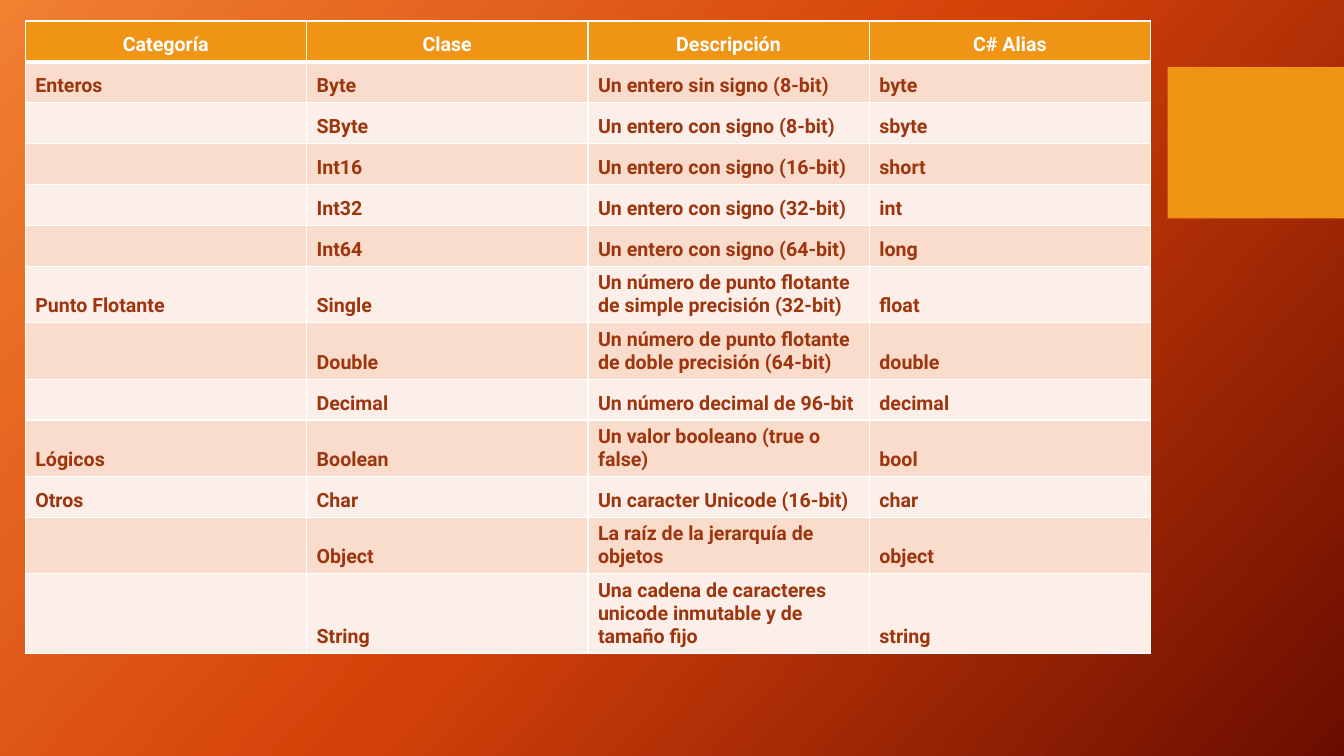
import copy
import lxml.etree
import pptx
import pptx.util
import pptx.dml.color
import pptx.enum.shapes
import pptx.enum.text
import pptx.oxml.ns

RGB = pptx.dml.color.RGBColor
WHITE = RGB(0xFF, 0xFF, 0xFF)
GOLD = RGB(0xF0, 0x94, 0x15)
RUST = RGB(0x9D, 0x36, 0x0E)
PEACH = RGB(0xF9, 0xDC, 0xCC)
CREAM = RGB(0xFC, 0xEE, 0xE8)
GLOW = [(0, RGB(0xF1, 0x80, 0x31)), (0.5, RGB(0xD5, 0x42, 0x09)),
        (1, RGB(0x6A, 0x0D, 0x00))]
UNIT = pptx.util.Inches(1) / 12
COLS, ROWS = 160, 90
TYPES = [
    ("Categoría", "Clase", "Descripción", "C# Alias"),
    ("Enteros", "Byte", "Un entero sin signo (8-bit)", "byte"),
    ("", "SByte", "Un entero con signo (8-bit)", "sbyte"),
    ("", "Int16", "Un entero con signo (16-bit)", "short"),
    ("", "Int32", "Un entero con signo (32-bit)", "int"),
    ("", "Int64", "Un entero con signo (64-bit)", "long"),
    ("Punto Flotante", "Single",
     "Un número de punto flotante de simple precisión (32-bit)", "float"),
    ("", "Double",
     "Un número de punto flotante de doble precisión (64-bit)", "double"),
    ("", "Decimal", "Un número decimal de 96-bit", "decimal"),
    ("Lógicos", "Boolean", "Un valor booleano (true o false)", "bool"),
    ("Otros", "Char", "Un caracter Unicode (16-bit)", "char"),
    ("", "Object", "La raíz de la jerarquía de objetos", "object"),
    ("", "String",
     "Una cadena de caracteres unicode inmutable y de tamaño fijo", "string"),
]
FONT = {"name": "Roboto", "size": pptx.util.Pt(14), "bold": True}


def grid(*cells):
    return [round(cell * UNIT) for cell in cells]


def style(item, looks):
    for name, value in looks.items():
        setattr(item, name, value)


def edge(cell, side, width):
    qn = pptx.oxml.ns.qn
    line = lxml.etree.SubElement(
        cell._tc.get_or_add_tcPr(), qn("a:ln" + side),
        w=str(pptx.util.Pt(width)))
    fill = lxml.etree.SubElement(line, qn("a:solidFill"))
    lxml.etree.SubElement(fill, qn("a:srgbClr"), val=str(WHITE))


def paint(slide):
    fill = slide.background.fill
    fill.gradient()
    fill.gradient_angle = 360 - 42
    stops = slide.element.find(".//" + pptx.oxml.ns.qn("a:gsLst"))
    stops.append(copy.deepcopy(stops[0]))
    for stop, (place, tone) in zip(fill.gradient_stops, GLOW):
        stop.position = place
        stop.color.rgb = tone


def block(slide, box):
    shape = slide.shapes.add_shape(
        pptx.enum.shapes.MSO_SHAPE.RECTANGLE, *grid(*box))
    shape.shadow.inherit = False
    shape.fill.solid()
    shape.fill.fore_color.rgb = GOLD
    shape.line.fill.background()


def fill_cell(cell, text, row):
    head = row == 0
    for side, width in {"L": 1, "R": 1, "T": 3 if row == 1 else 1,
                        "B": 3 if head else 1}.items():
        edge(cell, side, width)
    cell.fill.solid()
    cell.fill.fore_color.rgb = GOLD if head else (CREAM, PEACH)[row % 2]
    cell.vertical_anchor = pptx.enum.text.MSO_ANCHOR.BOTTOM
    if text:
        para = cell.text_frame.paragraphs[0]
        if head:
            para.alignment = pptx.enum.text.PP_ALIGN.CENTER
        run = para.add_run()
        run.text = text
        style(run.font, FONT)
        run.font.color.rgb = WHITE if head else RUST


def chart_types(slide, box):
    table = slide.shapes.add_table(
        len(TYPES), len(TYPES[0]), *grid(*box)).table
    style(table, {"first_row": False, "horz_banding": False})
    for row, texts in enumerate(TYPES):
        for col, text in enumerate(texts):
            fill_cell(table.cell(row, col), text, row)


def main():
    deck = pptx.Presentation()
    wide, high = grid(COLS, ROWS)
    style(deck, {"slide_width": wide, "slide_height": high})
    slide = deck.slides.add_slide(deck.slide_layouts[6])
    paint(slide)
    block(slide, (139, 8, 21, 18))
    chart_types(slide, (3, 2.5, 134, 63.2))
    deck.save("out.pptx")


main()
